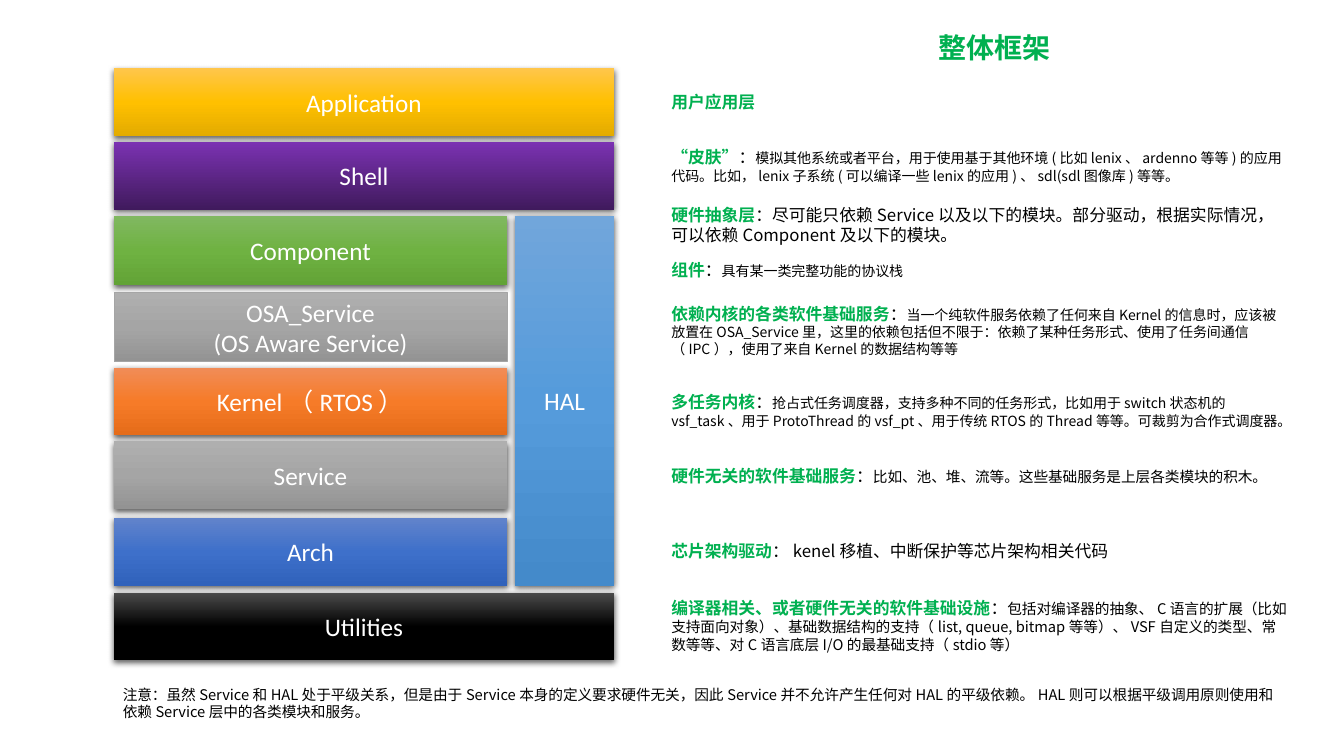
from lxml import etree
from copy import deepcopy
from pptx import Presentation
from pptx import util as u
from pptx.dml.color import RGBColor
from pptx.enum import shapes, text
from pptx.oxml import ns

LATIN, CJK = "Calibri", "Noto Sans CJK SC"
GREEN, BLACK, WHITE = "00B050", "000000", "FFFFFF"
GREY = ["AFAFAF", "A5A5A5", "939393"]
FULL, PART = 4.96, 3.9

LAYERS = [
    ("Application", 0.68, FULL, 0.67, ["FFC64B", "FFC000", "E3AB00"]),
    ("Shell", 1.41, FULL, 0.67, ["7B32B2", "401A5D"]),
    ("Component", 2.14, PART, 0.69, ["81B861", "6FB242", "62A336"]),
    ("OSA_Service\n(OS Aware Service)", 2.9, PART, 0.69, GREY),
    ("Kernel（RTOS）", 3.65, PART, 0.67, ["F18C57", "F67B28", "E56C19"]),
    ("Service", 4.38, PART, 0.67, GREY),
    ("Arch", 5.14, PART, 0.67, ["6183CB", "3E70CA", "3062BB"]),
    ("Utilities", 5.88, FULL, 0.67, ["4B4B4B", "000000", "000000"]),
]
HAL_COLOURS = ["71A6DB", "559BDB", "448ACA"]

EXPLANATIONS = [
    (0.86, 0.3, "用户应用层", "", "", 12),
    (1.41, 0.47, "“皮肤”", "：", "模拟其他系统或者平台，用于使用基于其他环境(比如lenix、ardenno等等)的应用代码。"
     "比如，lenix子系统(可以编译一些lenix的应用)、sdl(sdl图像库)等等。", 10),
    (1.98, 0.5, "硬件抽象层", "：", "尽可能只依赖Service以及以下的模块。部分驱动，根据实际情况，"
     "可以依赖Component及以下的模块。", 12),
    (2.53, 0.3, "组件", "：", "具有某一类完整功能的协议栈", 10),
    (2.96, 0.64, "依赖内核的各类软件基础服务", "：", "当一个纯软件服务依赖了任何来自Kernel的信息时，"
     "应该被放置在OSA_Service里，这里的依赖包括但不限于：依赖了某种任务形式、"
     "使用了任务间通信（IPC），使用了来自Kernel的数据结构等等", 10),
    (3.84, 0.48, "多任务内核", "：", "抢占式任务调度器，支持多种不同的任务形式，比如用于switch状态机的vsf_task、"
     "用于ProtoThread的vsf_pt、用于传统RTOS的Thread等等。可裁剪为合作式调度器。", 10),
    (4.57, 0.3, "硬件无关的软件基础服务", "：", "比如、池、堆、流等。这些基础服务是上层各类模块的积木。", 10.5),
    (5.32, 0.3, "芯片架构驱动", "：", "kenel移植、中断保护等芯片架构相关代码", 12),
    (5.88, 0.67, "编译器相关、或者硬件无关的软件基础设施", "：", "包括对编译器的抽象、C语言的扩展（比如支持面向对象）、"
     "基础数据结构的支持（list, queue, bitmap等等）、VSF自定义的类型、常数等等、"
     "对C语言底层I/O的最基础支持（stdio等）", 10.5),
]
NOTE = ("注意：虽然Service和HAL处于平级关系，但是由于Service本身的定义要求硬件无关，"
        "因此Service并不允许产生任何对HAL的平级依赖。HAL则可以根据平级调用原则使用和"
        "依赖Service层中的各类模块和服务。")


def colour(value):
    """Return the colour for a hex string."""
    return RGBColor.from_string(value)


def style(font, size, value, face=CJK, bold=False):
    """Format a font, for Latin and East Asian letters alike."""
    font.size, font.bold, font.name = u.Pt(size), bold, face
    font.color.rgb = colour(value)
    etree.SubElement(font._rPr, ns.qn("a:ea"), typeface=face)


def shade(block, colours):
    """Fill a block from top to bottom with evenly spaced colours."""
    block.fill.gradient()
    block.fill.gradient_angle = 270
    stop_list = block._element.spPr.find(ns.qn("a:gradFill")).find(ns.qn("a:gsLst"))
    for _ in colours[2:]:
        stop_list.append(deepcopy(stop_list[-1]))
    for i, (stop, value) in enumerate(zip(block.fill.gradient_stops, colours)):
        stop.position = i / (len(colours) - 1)
        stop.color.rgb = colour(value)


def cast_shadow(block):
    """Give a block a soft shadow straight below it."""
    effects = block._element.spPr.find(ns.qn("a:effectLst"))
    shadow = etree.SubElement(effects, ns.qn("a:outerShdw"), blurRad="57150",
                              dist="19050", dir="5400000", algn="ctr", rotWithShape="0")
    tint = etree.SubElement(shadow, ns.qn("a:srgbClr"), val=BLACK)
    etree.SubElement(tint, ns.qn("a:alpha"), val="63000")


def add_block(slide, label, left, top, width, height, colours, outline=None):
    """Draw one labelled layer, outlined or else with a shadow."""
    block = slide.shapes.add_shape(shapes.MSO_SHAPE.RECTANGLE, *map(u.Inches, (left, top, width, height)))
    block.shadow.inherit = False
    shade(block, colours)
    if outline:
        block.line.color.rgb = colour(outline)
        block.line.width = u.Pt(0.5)
    else:
        block.line.fill.background()
        cast_shadow(block)
    block.text_frame.text = label
    block.text_frame.vertical_anchor = text.MSO_ANCHOR.MIDDLE
    for line in block.text_frame.paragraphs:
        line.alignment = text.PP_ALIGN.CENTER
        style(line.font, 18, WHITE, LATIN)


def add_stack(slide, left):
    """Draw the software layers with HAL beside the middle ones."""
    for label, top, width, height, colours in LAYERS:
        outline = GREY[1] if label.startswith("OSA") else None
        add_block(slide, label, left, top, width, height, colours, outline)
    add_block(slide, "HAL", left + FULL - 0.98, 2.14, 0.98, 3.67, HAL_COLOURS)


def add_paragraph_box(slide, left, top, width, height):
    """Add a wrapping text box and return its first paragraph."""
    frame = slide.shapes.add_textbox(*map(u.Inches, (left, top, width, height))).text_frame
    frame.word_wrap = True
    return frame.paragraphs[0]


def add_explanations(slide, left, width):
    """Write a green term and its meaning for each layer."""
    for top, height, term, colon, meaning, size in EXPLANATIONS:
        entry = add_paragraph_box(slide, left, top, width, height)
        parts = [(term, 12, GREEN, True), (colon, 12, BLACK, False), (meaning, size, BLACK, False)]
        for words, points, value, bold in parts:
            if words:
                run = entry.add_run()
                run.text = words
                style(run.font, points, value, bold=bold)


def add_note(slide, left, top, width, height):
    """Write the remark under the stack."""
    remark = add_paragraph_box(slide, left, top, width, height)
    remark.text = NOTE
    style(remark.font, 10.5, BLACK)


def place_title(slide, left, top, width, height):
    """Move and format the slide title."""
    title = slide.shapes.title
    title.left, title.top, title.width, title.height = map(u.Inches, (left, top, width, height))
    title.text_frame.text = "整体框架"
    title.text_frame.vertical_anchor = text.MSO_ANCHOR.TOP
    heading = title.text_frame.paragraphs[0]
    heading.alignment = text.PP_ALIGN.CENTER
    style(heading.font, 20, GREEN, bold=True)


def main():
    """Build the framework slide."""
    deck = Presentation()
    deck.slide_width, deck.slide_height = u.Inches(13.33), u.Inches(7.5)
    slide = deck.slides.add_slide(deck.slide_layouts[5])
    place_title(slide, 6.71, 0.25, 6.31, 0.44)
    add_stack(slide, 1.13)
    add_explanations(slide, 6.56, 6.31)
    add_note(slide, 1.12, 6.75, 11.67, 0.45)
    deck.save("out.pptx")


if __name__ == "__main__":
    main()
